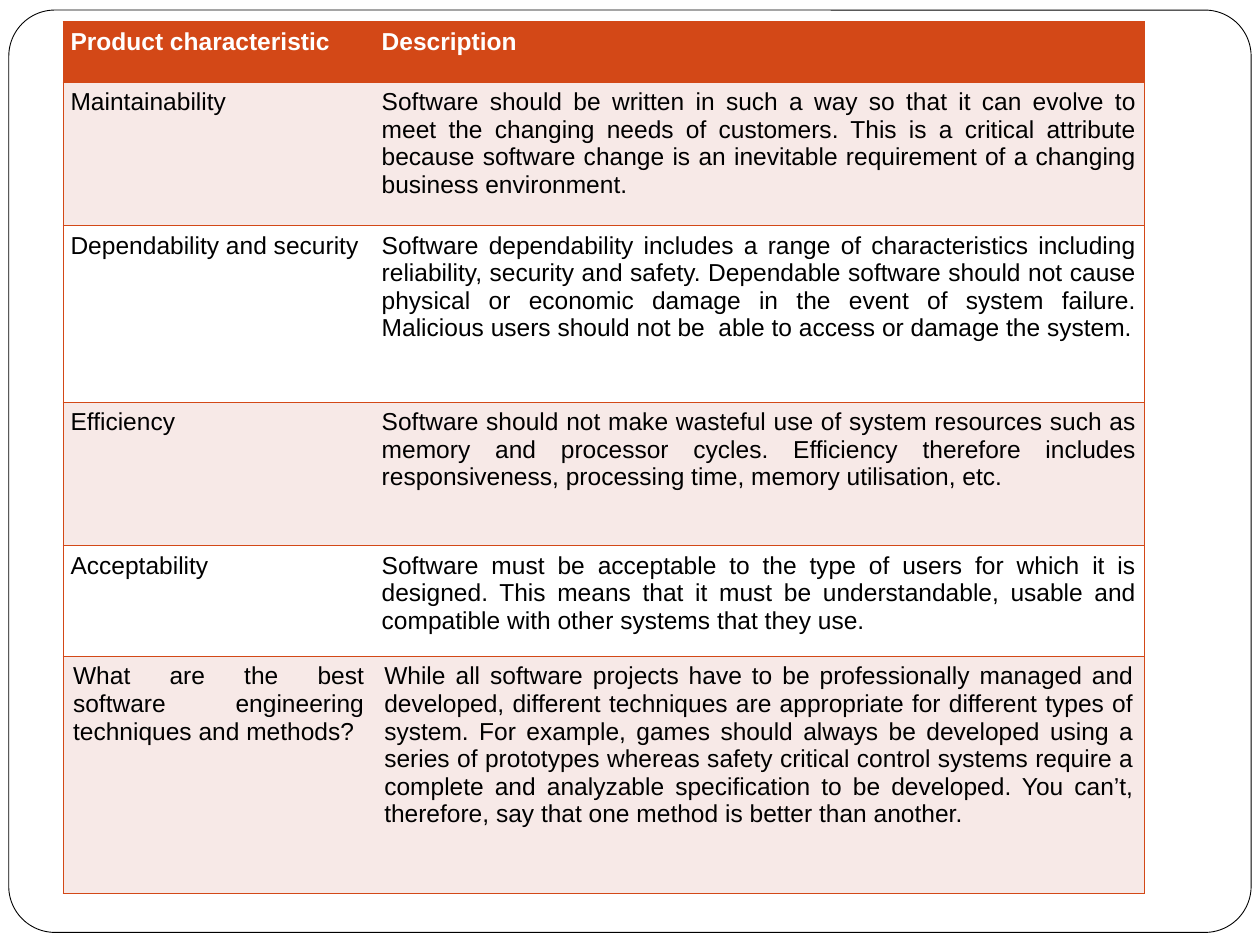
import pptx
import pptx.util
import pptx.dml.color
import pptx.enum.shapes
import pptx.enum.text
from lxml import etree

Inches, Pt = pptx.util.Inches, pptx.util.Pt
ALIGN = pptx.enum.text.PP_ALIGN
ORANGE, PINK, WHITE, BLACK = "D34817", "F7E9E7", "FFFFFF", "000000"

# Content: first row is the header
ROWS = [
    ("Product characteristic", "Description"),
    ("Maintainability",
     "Software should be written in such a way so that it can evolve to meet the changing needs of "
     "customers. This is a critical attribute because software change is an inevitable requirement "
     "of a changing business environment."),
    ("Dependability and security",
     "Software dependability includes a range of characteristics including reliability, security and "
     "safety. Dependable software should not cause physical or economic damage in the event of system "
     "failure. Malicious users should not be  able to access or damage the system."),
    ("Efficiency",
     "Software should not make wasteful use of system resources such as memory and processor cycles. "
     "Efficiency therefore includes responsiveness, processing time, memory utilisation, etc."),
    ("Acceptability",
     "Software must be acceptable to the type of users for which it is designed. This means that it "
     "must be understandable, usable and compatible with other systems that they use."),
    ("What are the best software engineering techniques and methods?",
     "While all software projects have to be professionally managed and developed, different "
     "techniques are appropriate for different types of system. For example, games should always be "
     "developed using a series of prototypes whereas safety critical control systems require a "
     "complete and analyzable specification to be developed. You can’t, therefore, say that one "
     "method is better than another."),
]
COL_WIDTHS = [2.47, 6.11]
ROW_HEIGHTS = [0.48, 1.14, 1.4, 1.14, 0.88, 1.88]


def rgb(value):
    return pptx.dml.color.RGBColor.from_string(value)


def write(tf, text, size=14, color=BLACK, bold=False, align=ALIGN.JUSTIFY):
    p = tf.paragraphs[0]
    p.alignment = align
    r = p.add_run()
    r.text = text
    r.font.name, r.font.size, r.font.bold = "Arial", Pt(size), bold
    r.font.color.rgb = rgb(color)


def set_borders(cell, sides, color=ORANGE, width=0.45):
    """Draw the given sides and leave the others empty."""
    tc_pr = cell._tc.get_or_add_tcPr()
    ns = "{http://schemas.openxmlformats.org/drawingml/2006/main}"
    for side in "LRTB":
        ln = etree.SubElement(tc_pr, f"{ns}ln{side}", w=str(Pt(width)))
        if side in sides:
            fill = etree.SubElement(ln, f"{ns}solidFill")
            etree.SubElement(fill, f"{ns}srgbClr", val=color)
        else:
            etree.SubElement(ln, f"{ns}noFill")


prs = pptx.Presentation()
prs.slide_width, prs.slide_height = Inches(10), Inches(7.5)
s = prs.slides.add_slide(prs.slide_layouts[6])

# Rounded frame
frame = s.shapes.add_shape(pptx.enum.shapes.MSO_SHAPE.ROUNDED_RECTANGLE,
                           Inches(0.07), Inches(0.08), Inches(9.86), Inches(7.32))
frame.adjustments[0] = 0.05
frame.shadow.inherit = False
frame.fill.solid()
frame.fill.fore_color.rgb = rgb(WHITE)
frame.line.color.rgb = rgb(BLACK)
frame.line.width = Pt(0.5)

# Table
table = s.shapes.add_table(len(ROWS), len(COL_WIDTHS), Inches(0.5), Inches(0.17),
                           Inches(sum(COL_WIDTHS)), Inches(sum(ROW_HEIGHTS))).table
for column, width in zip(table.columns, COL_WIDTHS):
    column.width = Inches(width)
for i, (texts, height) in enumerate(zip(ROWS, ROW_HEIGHTS)):
    table.rows[i].height = Inches(height)
    header, last = i == 0, i == len(ROWS) - 1
    background = ORANGE if header else PINK if i % 2 else WHITE
    for j, text in enumerate(texts):
        cell = table.cell(i, j)
        cell.margin_left = cell.margin_right = Inches(0.08 if last else 0.06)
        cell.margin_top = cell.margin_bottom = Inches(0.05)
        set_borders(cell, "TB" + "LR"[j])
        cell.fill.solid()
        cell.fill.fore_color.rgb = rgb(background)
        write(cell.text_frame, text, bold=header, color=WHITE if header else BLACK,
              align=ALIGN.LEFT if (i, j) == (2, 0) else ALIGN.JUSTIFY)

prs.save("out.pptx")
